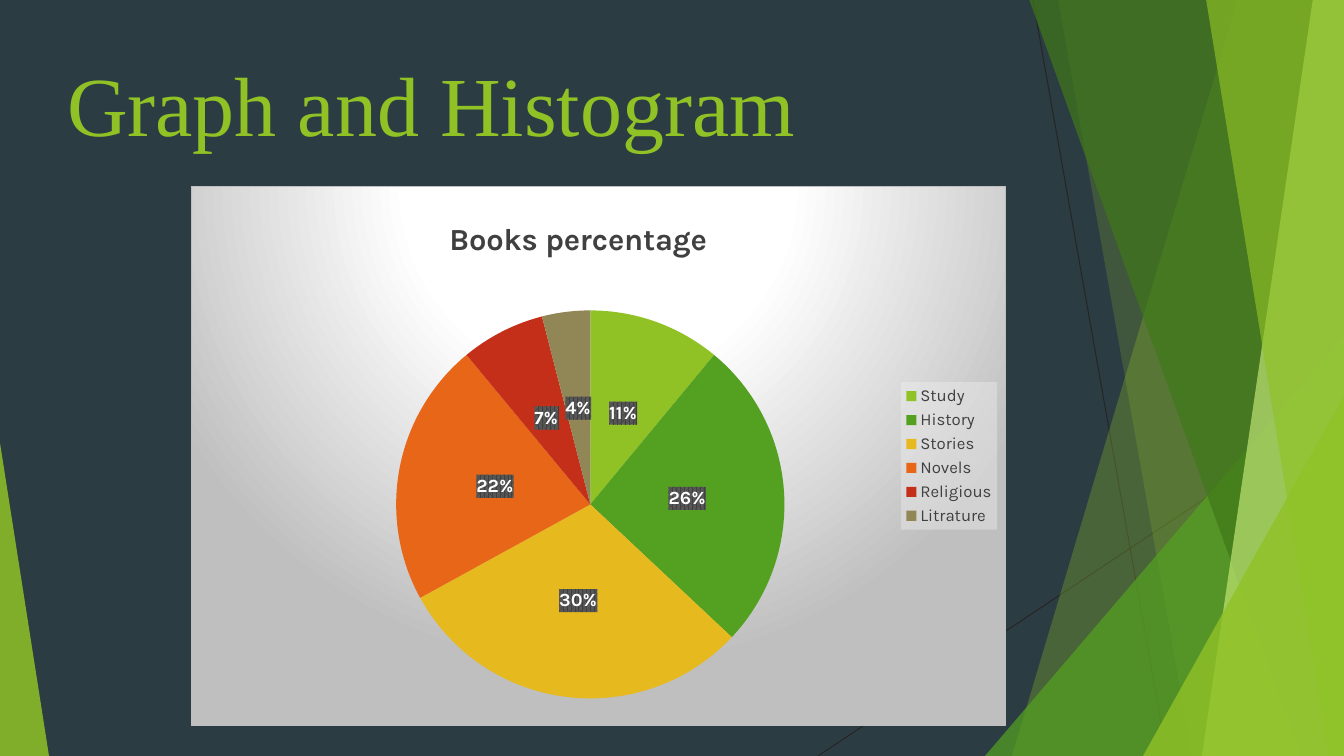
from lxml import etree
from pptx import Presentation
from pptx.chart.data import CategoryChartData
from pptx.dml.color import RGBColor
from pptx.enum.chart import XL_CHART_TYPE, XL_LABEL_POSITION, XL_LEGEND_POSITION
from pptx.enum.shapes import MSO_CONNECTOR, MSO_SHAPE
from pptx.enum.text import MSO_ANCHOR, PP_ALIGN
from pptx.oxml import parse_xml
from pptx.oxml.ns import nsdecls, qn
from pptx.util import Pt

PIE = XL_CHART_TYPE.PIE
CENTER = XL_LABEL_POSITION.CENTER
RIGHT = XL_LEGEND_POSITION.RIGHT
STRAIGHT = MSO_CONNECTOR.STRAIGHT
TRIANGLE = MSO_SHAPE.ISOSCELES_TRIANGLE
MIDDLE = MSO_ANCHOR.MIDDLE
LEFT = PP_ALIGN.LEFT

SLATE = RGBColor(0x2C, 0x3C, 0x43)
LIME = RGBColor(0x90, 0xC2, 0x26)
GREEN = RGBColor(0x54, 0xA0, 0x21)
FOREST = RGBColor(0x3F, 0x78, 0x19)
PALE = RGBColor(0xC0, 0xE4, 0x74)
YELLOW = RGBColor(0xE6, 0xB9, 0x1E)
ORANGE = RGBColor(0xE7, 0x66, 0x18)
RED = RGBColor(0xC4, 0x2F, 0x1A)
KHAKI = RGBColor(0x91, 0x86, 0x55)
INK = RGBColor(0x26, 0x26, 0x26)
GRAY = RGBColor(0x40, 0x40, 0x40)
WHITE = RGBColor(0xFF, 0xFF, 0xFF)

EMU = 914400 / 100.8
W, H = 1344, 756
TITLE = "Graph and Histogram"
TITLE_BOX = (57, 42, 1154, 121)
CHART_TITLE = "Books percentage"
CHART_BOX = (191, 186, 815, 540)
BOOKS = [
    ("Study", 11, LIME),
    ("History", 26, GREEN),
    ("Stories", 30, YELLOW),
    ("Novels", 22, ORANGE),
    ("Religious", 7, RED),
    ("Litrature", 4, KHAKI),
]
LINES = [(1033, 0, 1167, 756), (1344, 406, 818, 756)]
BANDS = "band"
WEDGES = "wedge"
FACETS = [
    (BANDS, (1238, 1012), LIME, 30),
    (BANDS, (1058, 1192), LIME, 20),
    (WEDGES, (985, 336, 359, 420, 1), GREEN, 72),
    (BANDS, (1029, 1301), FOREST, 70),
    (BANDS, (1313, 1202), PALE, 70),
    (BANDS, (1206, 1329), LIME, 65),
    (WEDGES, (1143, 396, 201, 360, 1), LIME, 80),
    (WEDGES, (0, 443, 49, 313, 0), LIME, 85),
]
AREA_FILL = (
    '<a:gradFill><a:gsLst><a:gs pos="0"><a:srgbClr val="FFFFFF"/></a:gs>'
    '<a:gs pos="39000"><a:srgbClr val="FFFFFF"/></a:gs>'
    '<a:gs pos="100000"><a:srgbClr val="BFBFBF"/></a:gs></a:gsLst>'
    '<a:path path="circle"><a:fillToRect l="50000" t="-80000" r="50000" b="180000"/></a:path>'
    '</a:gradFill><a:ln w="9525"><a:solidFill><a:srgbClr val="BFBFBF"/></a:solidFill></a:ln>'
)
LEGEND_FILL = '<a:solidFill><a:srgbClr val="F2F2F2"><a:alpha val="39000"/></a:srgbClr></a:solidFill>'
LABEL_FILL = (
    '<a:pattFill prst="pct75"><a:fgClr><a:srgbClr val="404040"/></a:fgClr>'
    '<a:bgClr><a:srgbClr val="595959"/></a:bgClr></a:pattFill>'
)


def px(*values):
    return [round(v * EMU) for v in values]


def set_font(font, size, color, name="Karla", bold=False):
    font.size, font.name, font.bold = Pt(size), name, bold
    font.color.rgb = color


def add_facet(shapes, kind, geometry, color, opacity):
    if kind == BANDS:
        top, bottom = geometry
        builder = shapes.build_freeform(top, -1, scale=EMU)
        builder.add_line_segments([(W, -1), (W, H), (bottom, H)], close=True)
        sp = builder.convert_to_shape()
    else:
        sp = shapes.add_shape(TRIANGLE, *px(*geometry[:4]))
        sp.adjustments[0] = geometry[4]
    sp.shadow.inherit = False
    sp.line.fill.background()
    sp.fill.solid()
    sp.fill.fore_color.rgb = color
    clr = sp.fill._xPr.find(f".//{qn('a:srgbClr')}")
    etree.SubElement(clr, qn("a:alpha"), val=str(opacity * 1000))


def fill_part(part, fill):
    sp_pr = parse_xml(f"<c:spPr {nsdecls('c', 'a')}>{fill}</c:spPr>")
    part.find(qn("c:txPr")).addprevious(sp_pr)


def place_part(part, index, **settings):
    for old in part.findall(qn("c:layout")):
        part.remove(old)
    layout = etree.Element(qn("c:layout"))
    manual = etree.SubElement(layout, qn("c:manualLayout"))
    for tag, value in settings.items():
        etree.SubElement(manual, qn(f"c:{tag}"), val=str(value))
    part.insert(index, layout)


def add_books_chart(shapes):
    names, values, colors = zip(*BOOKS)
    data = CategoryChartData()
    data.categories = names
    data.add_series("Series 1", values)
    chart = shapes.add_chart(PIE, *px(*CHART_BOX), data).chart
    set_font(chart.font, 10, WHITE)

    chart.has_title = True
    tf = chart.chart_title.text_frame
    tf.text = CHART_TITLE
    set_font(tf.paragraphs[0].runs[0].font, 22, GRAY, bold=True)
    chart.has_legend = True
    chart.legend.position = RIGHT
    chart.legend.include_in_layout = False
    set_font(chart.legend.font, 12, GRAY)

    plot = chart.plots[0]
    plot.vary_by_categories = True
    series = plot.series[0]
    for i, color in enumerate(colors):
        fill = series.points[i].format.fill
        fill.solid()
        fill.fore_color.rgb = color
    labels = series.data_labels
    labels.show_percentage = True
    labels.show_value = False
    labels.number_format = "0%"
    labels.number_format_is_linked = False
    labels.position = CENTER
    set_font(labels.font, 13.3, WHITE, bold=True)

    root = chart.element
    fill_part(root, AREA_FILL)
    fill_part(root.find(f".//{qn('c:legend')}"), LEGEND_FILL)
    fill_part(root.find(f".//{qn('c:ser')}/{qn('c:dLbls')}"), LABEL_FILL)
    place_part(root.find(f".//{qn('c:title')}"), 1, xMode="edge", yMode="edge", x=0.31, y=0.05)
    place_part(root.find(f".//{qn('c:plotArea')}"), 0, layoutTarget="inner",
               xMode="edge", yMode="edge", x=0.25, y=0.23, w=0.48, h=0.72)


def main():
    prs = Presentation()
    prs.slide_width, prs.slide_height = px(W, H)
    s = prs.slides.add_slide(prs.slide_layouts[5])
    s.background.fill.solid()
    s.background.fill.fore_color.rgb = SLATE

    for ends in LINES:
        line = s.shapes.add_connector(STRAIGHT, *px(*ends))
        line.line.color.rgb = INK
        line.line.width = Pt(0.75)
        etree.SubElement(line._element.spPr, qn("a:effectLst"))
    for facet in FACETS:
        add_facet(s.shapes, *facet)

    title = s.shapes.title
    title.left, title.top, title.width, title.height = px(*TITLE_BOX)
    tf = title.text_frame
    tf.text = TITLE
    tf.vertical_anchor = MIDDLE
    p = tf.paragraphs[0]
    p.alignment = LEFT
    set_font(p.runs[0].font, 60, LIME, "Times New Roman")

    add_books_chart(s.shapes)
    prs.save("out.pptx")


if __name__ == "__main__":
    main()
